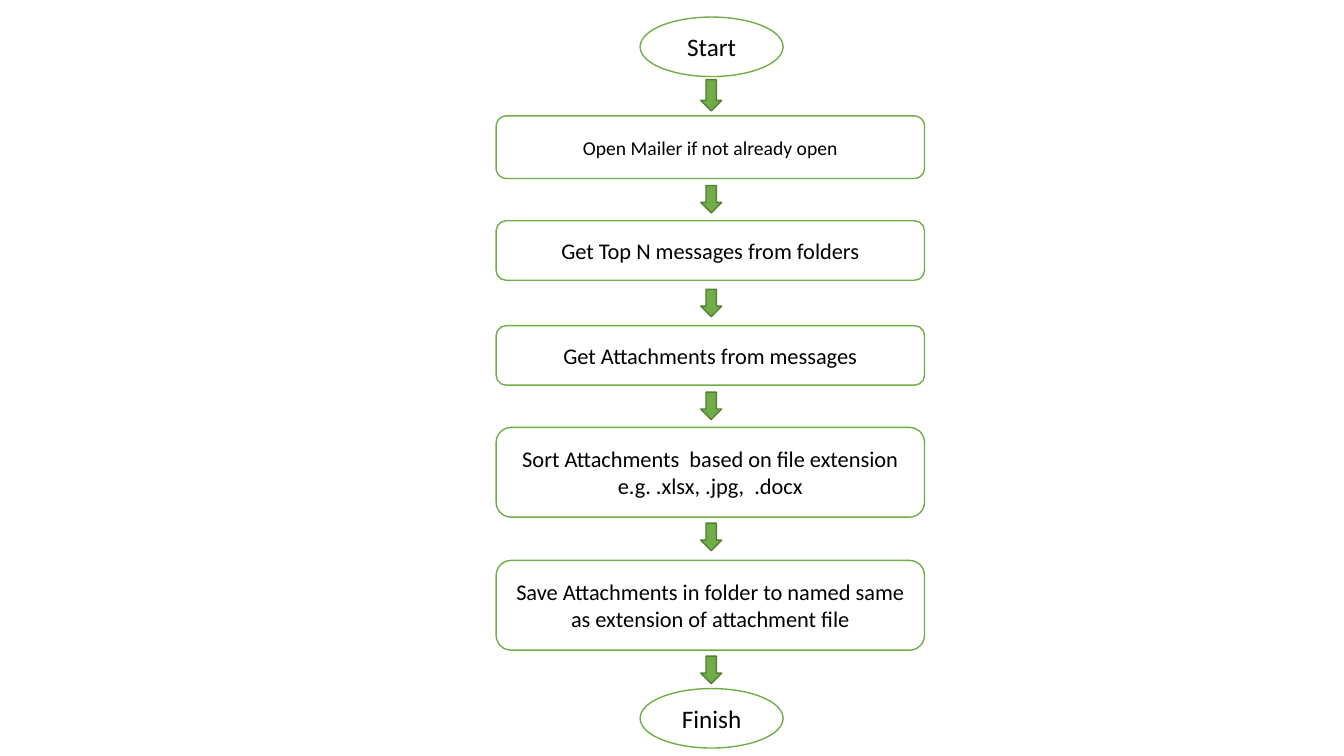
from pptx import Presentation, util as u
from pptx.dml import color
from pptx.enum import shapes, text

COLORS = {"paper": "FFFFFF", "green": "70AD47", "dark green": "538035", "ink": "000000"}
FONT = "Calibri"
TERMINAL, STEP, ARROW = (shapes.MSO_SHAPE.OVAL, shapes.MSO_SHAPE.ROUNDED_RECTANGLE,
                         shapes.MSO_SHAPE.DOWN_ARROW)
WIDTHS = {TERMINAL: 102.2, STEP: 306, ARROW: 15}
CENTERS = {TERMINAL: 508.3, STEP: 507.4, ARROW: 508}

# kind, top, height, font size, wording
NODES = [
    (TERMINAL, 12.2, 42.5, 18, "Start"),
    (STEP, 82.8, 44.7, 14, "Open Mailer if not already open"),
    (STEP, 157.7, 42.5, 16, "Get Top N messages from folders"),
    (STEP, 232.6, 42.5, 16, "Get Attachments from messages"),
    (STEP, 305.3, 64.1, 16,
     "Sort Attachments  based on file extension e.g. .xlsx, .jpg,  .docx"),
    (STEP, 400.3, 64.1, 16,
     "Save Attachments in folder to named same as extension of attachment file"),
    (TERMINAL, 491.8, 42.5, 18, "Finish"),
]
# top, height
ARROWS = [(56.9, 22.3), (132.5, 19.6), (206.6, 19.6),
          (280.1, 19.6), (373.7, 19.6), (468.7, 19.6)]


def rgb(name):
    """Return the named colour."""
    return color.RGBColor.from_string(COLORS[name])


def add_shape(slide, kind, box, fill, line):
    """Add a flat preset shape in box (left, top, width, height)."""
    shape = slide.shapes.add_shape(kind, *(u.Pt(length) for length in box))
    shape.shadow.inherit = False
    shape.fill.solid()
    shape.fill.fore_color.rgb = rgb(fill)
    shape.line.color.rgb = rgb(line)
    shape.line.width = u.Pt(1)
    return shape


def add_node(slide, kind, box, size, wording):
    """Add an outlined flowchart node with centred wording."""
    frame = add_shape(slide, kind, box, "paper", "green").text_frame
    frame.word_wrap = True
    frame.vertical_anchor = text.MSO_ANCHOR.MIDDLE
    paragraph = frame.paragraphs[0]
    paragraph.alignment = text.PP_ALIGN.CENTER
    run = paragraph.add_run()
    run.text = wording
    run.font.name = FONT
    run.font.size = u.Pt(size)
    run.font.color.rgb = rgb("ink")


def add_flowchart(slide, box):
    """Stack the nodes and the arrows between them inside box."""
    left, top, _, _ = box

    def place(kind, offset, height):
        """Return the box of a part centred on its column."""
        width = WIDTHS[kind]
        return left + CENTERS[kind] - width / 2, top + offset, width, height

    for kind, offset, height, size, wording in NODES:
        add_node(slide, kind, place(kind, offset, height), size, wording)
    for offset, height in ARROWS:
        add_shape(slide, ARROW, place(ARROW, offset, height), "green", "dark green")


def main():
    """Build and save the presentation."""
    presentation = Presentation()
    presentation.slide_width, presentation.slide_height = u.Pt(960), u.Pt(540)
    slide = presentation.slides.add_slide(presentation.slide_layouts[6])
    add_flowchart(slide, (0, 0, 960, 540))
    presentation.save("out.pptx")


main()
